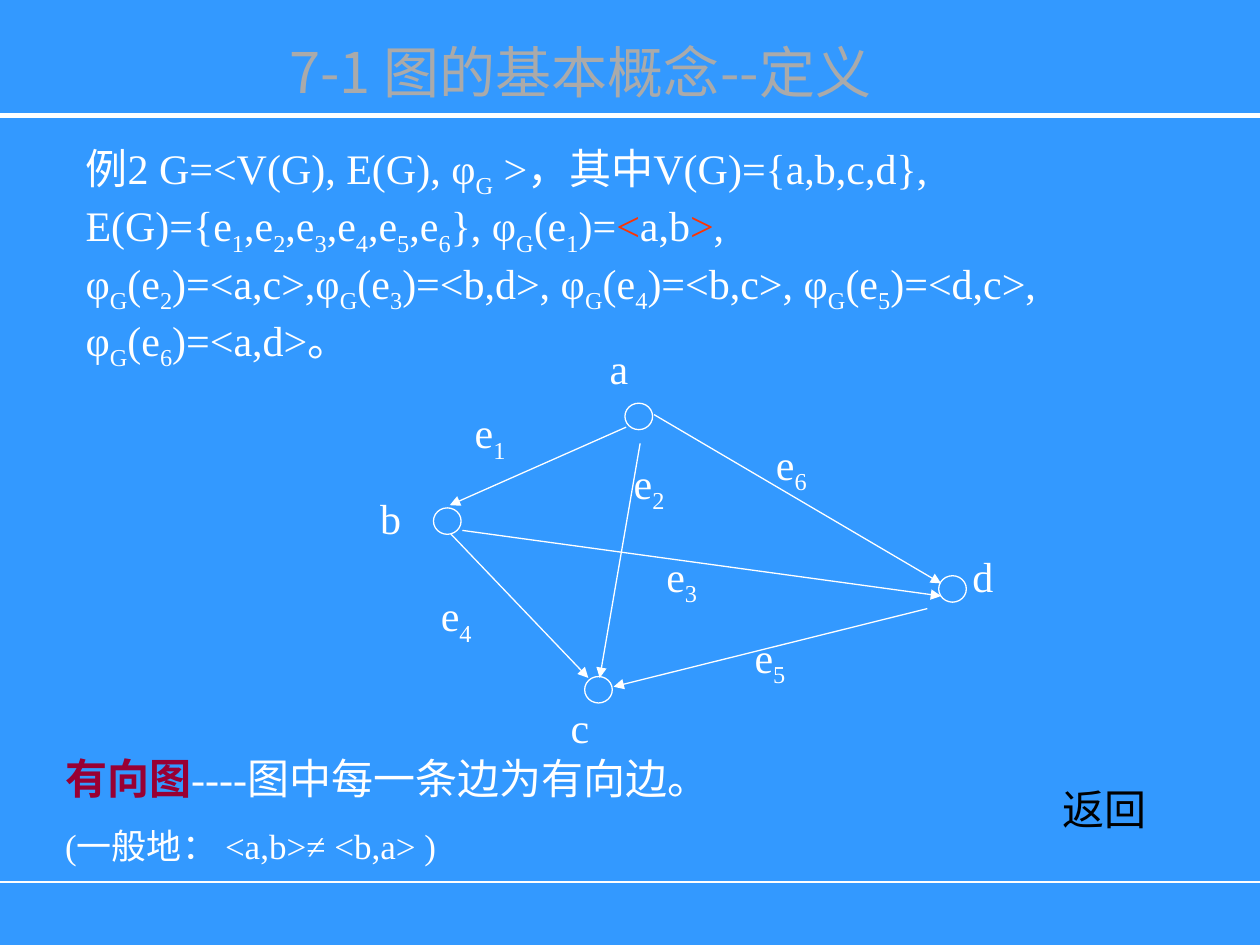
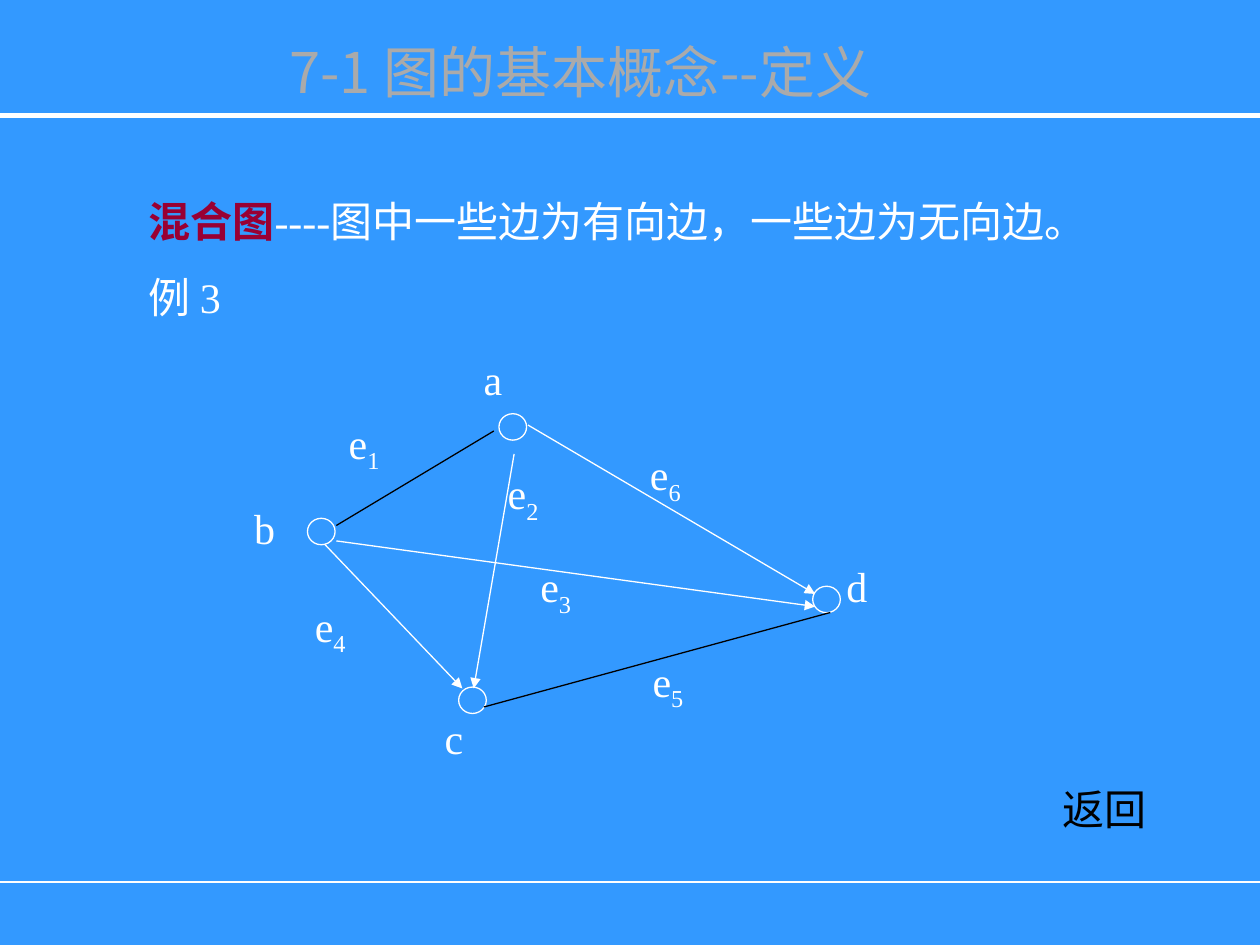
"""Build two slides on directed and mixed graphs."""
from lxml import etree
from pptx import Presentation
from pptx.dml.color import RGBColor
from pptx.enum.shapes import MSO_CONNECTOR, MSO_SHAPE
from pptx.enum.text import MSO_ANCHOR, MSO_AUTO_SIZE, PP_ALIGN
from pptx.oxml.ns import qn
from pptx.util import Pt

STRAIGHT = MSO_CONNECTOR.STRAIGHT
OVAL = MSO_SHAPE.OVAL
GROW = MSO_AUTO_SIZE.SHAPE_TO_FIT_TEXT
NO_AUTOSIZE = MSO_AUTO_SIZE.NONE
TOP = MSO_ANCHOR.TOP
CENTER = PP_ALIGN.CENTER

BLUE, WHITE, BLACK = "3399FF", "FFFFFF", "000000"
CRIMSON, RED, GREY = "990033", "FF3300", "AAAAAA"
BODY_FONT, TITLE_FONT = "Times New Roman", "Noto Sans CJK SC"
TITLE = "7-1 图的基本概念--定义"
color = RGBColor.from_string


def add_text(shapes, left, top, width, height, paragraphs, size=24, space=15):
    """Add a text box of (text, colour) pieces, where _ marks a subscript."""
    box = shapes.add_textbox(Pt(left), Pt(top), Pt(width), Pt(height))
    frame = box.text_frame
    frame.word_wrap = True
    frame.auto_size = GROW
    for index, pieces in enumerate(paragraphs):
        paragraph = frame.add_paragraph() if index else frame.paragraphs[0]
        if index:
            paragraph.space_before = Pt(space)
        for text, hex_color in pieces:
            first, *rest = text.split("_")
            parts = [(first, False)]
            for part in rest:
                parts += [(part[0], True), (part[1:], False)]
            for part, subscript in parts:
                if not part:
                    continue
                run = paragraph.add_run()
                run.text = part
                run.font.name = BODY_FONT
                run.font.size = Pt(size)
                run.font.bold = hex_color == CRIMSON
                run.font.color.rgb = color(hex_color)
                if subscript:
                    run._r.get_or_add_rPr().set("baseline", "-25000")
    return box


def add_line(shapes, start, end, hex_color=WHITE, width=0.75, arrow=False):
    """Add a straight line, with an arrowhead at its end if asked."""
    line = shapes.add_connector(STRAIGHT, *(Pt(value) for value in (*start, *end)))
    line.line.color.rgb = color(hex_color)
    line.line.width = Pt(width)
    if arrow:
        outline = line.line._get_or_add_ln()
        etree.SubElement(outline, qn("a:tailEnd"), type="triangle")
    etree.SubElement(line._element.spPr, qn("a:effectLst"))


NODES = {
    "a": ((357.1, 230.4), (341.3, 192.2)),
    "b": ((247.7, 290.2), (210.2, 277.9)),
    "c": ((334.1, 386.6), (319, 397.4)),
    "d": ((536.4, 329), (548.6, 311)),
}
DIRECTED = {
    "e_1": ((264.2, 229), (357.8, 244.1), (257, 288.7), True),
    "e_2": ((355, 257.8), (365.8, 253.4), (342.7, 387.4), True),
    "e_3": ((373.7, 311), (264.2, 303.1), (537.8, 340.6), True),
    "e_4": ((244.8, 333.4), (257.8, 305.3), (336.2, 387.4), True),
    "e_5": ((424.1, 357.1), (529.9, 347.8), (350.6, 392.4), True),
    "e_6": ((436.3, 247), (373.7, 236.9), (537.8, 333.4), True),
}
MIXED = DIRECTED | {
    "e_1": ((264.2, 229), (264.2, 294.3), (354.2, 240.3), False),
    "e_5": ((437.8, 364.9), (348.5, 398), (546.5, 344), False),
}

presentation = Presentation()
presentation.slide_width, presentation.slide_height = Pt(720), Pt(540)
background = presentation.slide_master.background.fill
background.solid()
background.fore_color.rgb = color(BLUE)

slides = []
for edges, dx, dy in ((DIRECTED, 0, 0), (MIXED, -72, 6)):
    slide = presentation.slides.add_slide(presentation.slide_layouts[5])
    slides.append(slide)
    add_line(slide.shapes, (0, 66), (720, 66), width=3)
    add_line(slide.shapes, (0, 504), (720, 504))

    title = slide.shapes.title
    title.left, title.top, title.width, title.height = Pt(121.6), Pt(18), Pt(420), Pt(33.8)
    frame = title.text_frame
    frame.text = TITLE
    frame.word_wrap = False
    frame.auto_size = NO_AUTOSIZE
    frame.vertical_anchor = TOP
    frame.paragraphs[0].alignment = CENTER
    font = frame.paragraphs[0].runs[0].font
    font.name = TITLE_FONT
    font.size = Pt(32)
    font.fill.gradient()
    font.fill.gradient_angle = 270
    for stop, hex_color in zip(font.fill.gradient_stops, (GREY, WHITE)):
        stop.color.rgb = color(hex_color)

    add_text(slide.shapes, 600, 444.2, 77.8, 36, [[("返回", BLACK)]])

    graph = slide.shapes.add_group_shape().shapes
    for name, ((left, top), (label_left, label_top)) in NODES.items():
        node = graph.add_shape(OVAL, Pt(left + dx), Pt(top + dy), Pt(15.8), Pt(15.1))
        node.shadow.inherit = False
        node.fill.background()
        node.line.color.rgb = color(WHITE)
        node.line.width = Pt(0.75)
        add_text(graph, label_left + dx, label_top + dy, 38.9, 36, [[(name, WHITE)]])
    for name, ((left, top), start, end, directed) in edges.items():
        add_text(graph, left + dx, top + dy, 54.7, 40.3, [[(name, WHITE)]])
        add_line(graph, (start[0] + dx, start[1] + dy), (end[0] + dx, end[1] + dy),
                 WHITE if directed else BLACK, arrow=directed)

directed_slide, mixed_slide = slides
add_text(directed_slide.shapes, 41.8, 77.8, 648, 105.8, [[
    ("例2 G=<V(G), E(G), φ_G >，其中V(G)={a,b,c,d}, "
     "E(G)={e_1,e_2,e_3,e_4,e_5,e_6}, φ_G(e_1)=", WHITE),
    ("<", RED), ("a,b", WHITE), (">", RED),
    (", φ_G(e_2)=<a,c>,φ_G(e_3)=<b,d>, φ_G(e_4)=<b,c>, "
     "φ_G(e_5)=<d,c>, φ_G(e_6)=<a,d>。", WHITE),
]])
definition = add_text(directed_slide.shapes, 30.2, 426.2, 409.7, 72.7, [
    [("有向图", CRIMSON), ("----图中每一条边为有向边。", WHITE)],
    [("(一般地： <a,b>≠ <b,a> )", WHITE)],
], space=12.5)
definition.text_frame.paragraphs[1].runs[0].font.size = Pt(20)

add_text(mixed_slide.shapes, 77.8, 108, 534, 79.9, [
    [("混合图", CRIMSON), ("----图中一些边为有向边，一些边为无向边。", WHITE)],
    [("例 3", WHITE)],
])

presentation.save("out.pptx")
